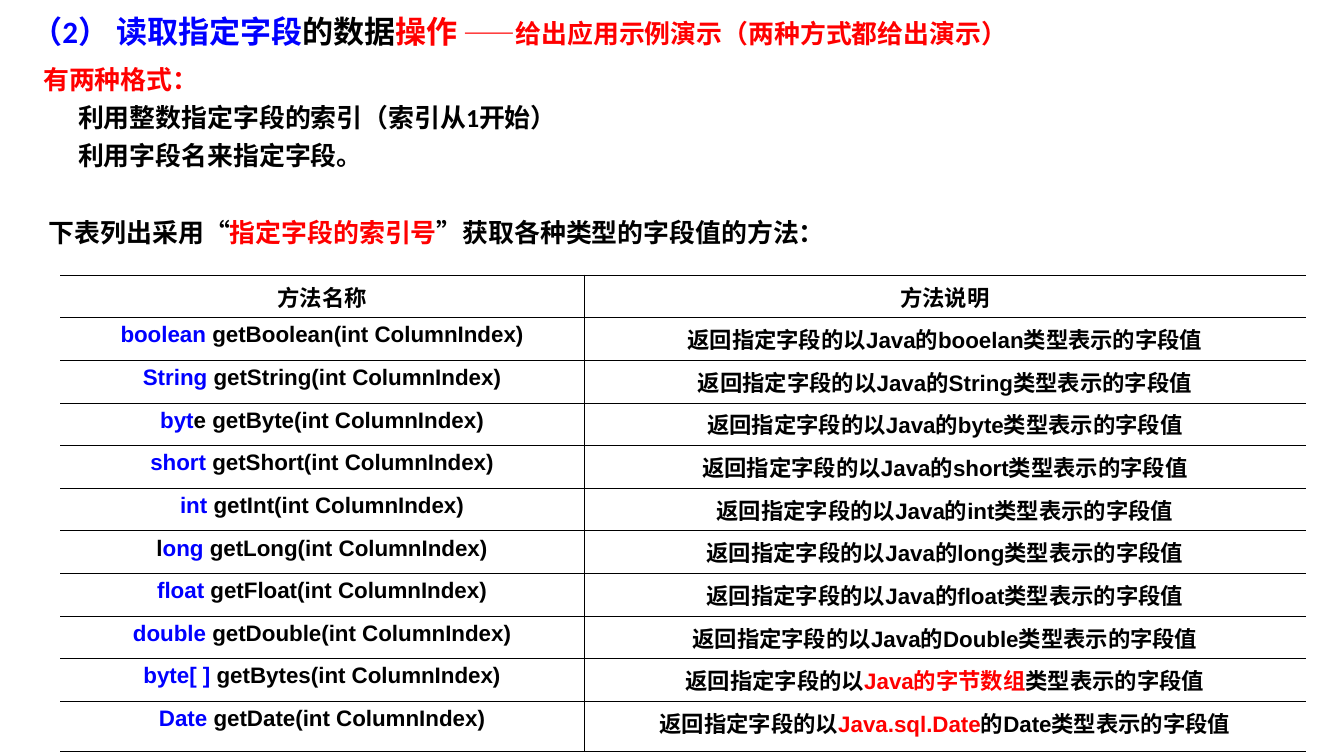
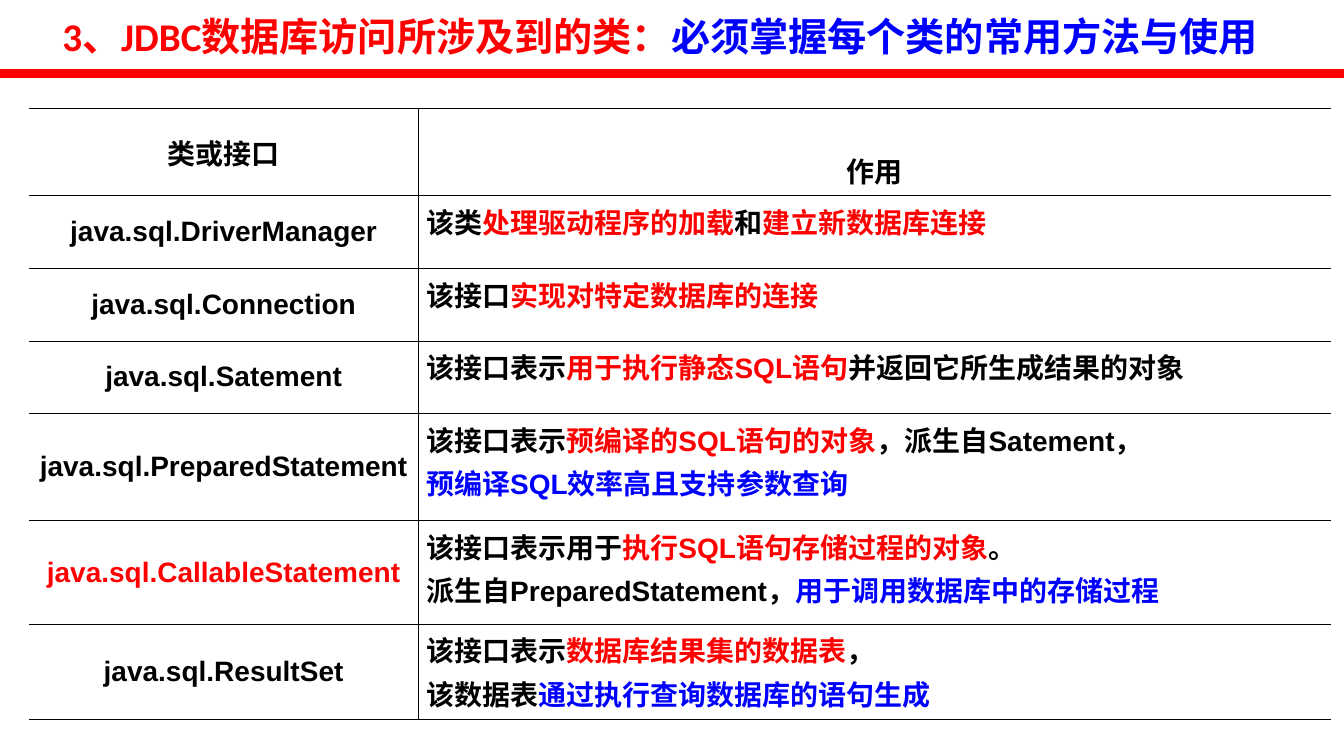
from lxml import etree
from pptx import Presentation
from pptx.dml.color import RGBColor
from pptx.enum import shapes, text
from pptx.oxml import ns
from pptx.util import Cm, Pt

COLOURS = {"ink": "000000", "red": "FF0000", "blue": "0000FF"}
SLIDE_WIDTH, SLIDE_HEIGHT = Cm(33.88), Cm(19.05)
TITLE_TOP, TITLE_HEIGHT = Cm(0.32), Cm(1.25)
BORDER_WIDTH = Pt(0.45)
CENTRE, LEFT = text.PP_ALIGN.CENTER, text.PP_ALIGN.LEFT
TOP, MIDDLE, BOTTOM = (
    text.MSO_ANCHOR.TOP, text.MSO_ANCHOR.MIDDLE, text.MSO_ANCHOR.BOTTOM)

# A line of text is a list of pieces: (words, colour) or (words, colour, size).
READ_TITLE = [
    ("（2） 读取指定字段", "blue"), ("的数据", "ink"), ("操作", "red"),
    (" ——给出应用示例演示（两种方式都给出演示）", "red", 18.5),
]
# Left indent in cm, space before in points, pieces
READ_NOTES = [
    (0.3, 0, [("有两种格式：", "red")]),
    (1.18, 5, [("利用整数指定字段的索引（索引从1开始）", "ink")]),
    (1.18, 5, [("利用字段名来指定字段。", "ink")]),
    (0.44, 32.3, [("下表列出采用“", "ink"), ("指定字段的索引号", "red"),
                  ("”获取各种类型的字段值的方法：", "ink")]),
]
METHOD_HEADS = ["方法名称", "方法说明"]
# Pieces of the return type, method, pieces naming the Java type
METHODS = [
    ([("boolean", "blue")], "getBoolean", [("Java的booelan", "ink")]),
    ([("String", "blue")], "getString", [("Java的String", "ink")]),
    ([("byt", "blue"), ("e", "ink")], "getByte", [("Java的byte", "ink")]),
    ([("short", "blue")], "getShort", [("Java的short", "ink")]),
    ([("int", "blue")], "getInt", [("Java的int", "ink")]),
    ([("l", "ink"), ("ong", "blue")], "getLong", [("Java的long", "ink")]),
    ([("float", "blue")], "getFloat", [("Java的float", "ink")]),
    ([("double", "blue")], "getDouble", [("Java的Double", "ink")]),
    ([("byte[ ]", "blue")], "getBytes", [("Java的字节数组", "red")]),
    ([("Date", "blue")], "getDate", [("Java.sql.Date", "red"), ("的Date", "ink")]),
]

CLASS_TITLE = [("3、JDBC数据库访问所涉及到的类：", "red"),
               ("必须掌握每个类的常用方法与使用", "blue")]
CLASS_HEADS = ["类或接口", "作用"]
# Class, its colour, lines of its role
CLASSES = [
    ("DriverManager", "ink", [
        [("该类", "ink"), ("处理驱动程序的加载", "red"), ("和", "ink"),
         ("建立新数据库连接", "red")]]),
    ("Connection", "ink", [
        [("该接口", "ink"), ("实现对特定数据库的连接", "red")]]),
    ("Satement", "ink", [
        [("该接口表示", "ink"), ("用于执行静态SQL语句", "red"),
         ("并返回它所生成结果的对象", "ink")]]),
    ("PreparedStatement", "ink", [
        [("该接口表示", "ink"), ("预编译的SQL语句的对象", "red"),
         ("，派生自Satement，", "ink")],
        [("预编译SQL效率高且支持参数查询", "blue")]]),
    ("CallableStatement", "red", [
        [("该接口表示用于", "ink"), ("执行SQL语句存储过程的对象", "red"), ("。", "ink")],
        [("派生自PreparedStatement，", "ink"), ("用于调用数据库中的存储过程", "blue")]]),
    ("ResultSet", "ink", [
        [("该接口表示", "ink"), ("数据库结果集的数据表", "red"), ("，", "ink")],
        [("该数据表", "ink"), ("通过执行查询数据库的语句生成", "blue")]]),
]


def colour(name):
    return RGBColor.from_string(COLOURS[name])


def set_all(target, values):
    for name, value in values.items():
        setattr(target, name, value)


def write_line(paragraph, pieces, size, font_name):
    for words, shade, *own_size in pieces:
        run = paragraph.add_run()
        run.text = words
        set_all(run.font, {"name": font_name, "bold": True,
                           "size": Pt(own_size[0] if own_size else size)})
        run.font.color.rgb = colour(shade)


def place(placeholder, left, top, width, height):
    """Move a placeholder and take away its margins and automatic fitting."""
    set_all(placeholder, {"left": left, "top": top, "width": width, "height": height})
    frame = placeholder.text_frame
    set_all(frame, {"margin_left": 0, "margin_right": 0, "margin_top": 0,
                    "margin_bottom": 0, "word_wrap": True,
                    "auto_size": text.MSO_AUTO_SIZE.NONE, "vertical_anchor": TOP})
    return frame


def add_title(slide, pieces, left, size):
    frame = place(slide.shapes.title, left, TITLE_TOP, Cm(32), TITLE_HEIGHT)
    line = frame.paragraphs[0]
    line.alignment = LEFT
    write_line(line, pieces, size, "Calibri")


def add_notes(slide, notes):
    frame = place(slide.placeholders[1], Cm(0.79), Cm(1.6), Cm(32), Cm(4.8))
    for index, (indent, before, pieces) in enumerate(notes):
        line = frame.add_paragraph() if index else frame.paragraphs[0]
        properties = line._p.get_or_add_pPr()
        properties.set("marL", str(Cm(indent)))
        properties.set("indent", "0")
        etree.SubElement(properties, ns.qn("a:buNone"))
        set_all(line, {"space_before": Pt(before), "line_spacing": Pt(22.3)})
        write_line(line, pieces, 18.5, "Calibri")


def set_borders(cell, ruled_sides):
    properties = cell._tc.get_or_add_tcPr()
    for index, side in enumerate("LRTB"):
        border = etree.Element(ns.qn("a:ln" + side), w=str(BORDER_WIDTH))
        if side in ruled_sides:
            fill = etree.SubElement(border, ns.qn("a:solidFill"))
            etree.SubElement(fill, ns.qn("a:srgbClr"), val=COLOURS["ink"])
        else:
            etree.SubElement(border, ns.qn("a:noFill"))
        properties.insert(index, border)


def add_ruled_table(slide, rows, left, top, widths, heights, size, style):
    """Rows hold cells as lists of lines; style(row, column) gives alignment and anchor."""
    table = slide.shapes.add_table(
        len(rows), len(widths), left, top,
        Cm(sum(widths)), Cm(sum(heights))).table
    set_all(table, {"first_row": False, "horz_banding": False})
    for column, width in zip(table.columns, widths):
        column.width = Cm(width)
    for row, height in zip(table.rows, heights):
        row.height = Cm(height)
    for r, row in enumerate(rows):
        for c, lines in enumerate(row):
            cell = table.cell(r, c)
            alignment, anchor = style(r, c)
            set_all(cell, {"margin_left": Cm(0.2), "margin_right": Cm(0.2),
                           "margin_top": Cm(0.13), "margin_bottom": Cm(0.13),
                           "vertical_anchor": anchor})
            cell.fill.background()
            set_borders(cell, "TBL" if c else "TBR")
            for index, pieces in enumerate(lines):
                frame = cell.text_frame
                line = frame.add_paragraph() if index else frame.paragraphs[0]
                line.alignment = alignment
                if index:
                    line.space_before = Pt(2)
                write_line(line, pieces, size, "Arial")


def head_row(heads):
    return [[[(head, "ink")]] for head in heads]


def method_row(kind, method, java_type):
    call = [*kind, (f" {method}(int ColumnIndex)", "ink")]
    meaning = [("返回指定字段的以", "ink"), *java_type, ("类型表示的字段值", "ink")]
    return [[call], [meaning]]


def class_cell_style(row, column):
    if column == 0:
        return CENTRE, MIDDLE
    return (LEFT, TOP) if row else (CENTRE, BOTTOM)


def add_title_rule(slide):
    height = Cm(1.85)
    rule = slide.shapes.add_connector(
        shapes.MSO_CONNECTOR.STRAIGHT, 0, height, SLIDE_WIDTH, height)
    rule.line.color.rgb = colour("red")
    rule.line.width = Pt(6)
    etree.SubElement(rule._element.spPr, ns.qn("a:effectLst"))


def build_reading_slide(deck):
    slide = deck.slides.add_slide(deck.slide_layouts.get_by_name("Title and Content"))
    add_title(slide, READ_TITLE, Cm(0.79), 22.2)
    add_notes(slide, READ_NOTES)
    rows = [head_row(METHOD_HEADS)] + [method_row(*entry) for entry in METHODS]
    add_ruled_table(slide, rows, Cm(1.52), Cm(6.93), [13.2, 18.2],
                    [1.07] * len(METHODS) + [1.25], 16,
                    lambda row, column: (CENTRE, TOP))


def build_class_slide(deck):
    slide = deck.slides.add_slide(deck.slide_layouts.get_by_name("Title Only"))
    add_title(slide, CLASS_TITLE, Cm(1.57), 28)
    add_title_rule(slide)
    rows = [head_row(CLASS_HEADS)] + [
        [[[("java.sql." + name, shade)]], role] for name, shade, role in CLASSES]
    add_ruled_table(slide, rows, Cm(0.74), Cm(2.72), [9.8, 23],
                    [2.21, 1.83, 1.83, 1.83, 2.7, 2.6, 2.4], 20, class_cell_style)


def main():
    deck = Presentation()
    set_all(deck, {"slide_width": SLIDE_WIDTH, "slide_height": SLIDE_HEIGHT})
    build_reading_slide(deck)
    build_class_slide(deck)
    deck.save("out.pptx")


if __name__ == "__main__":
    main()
